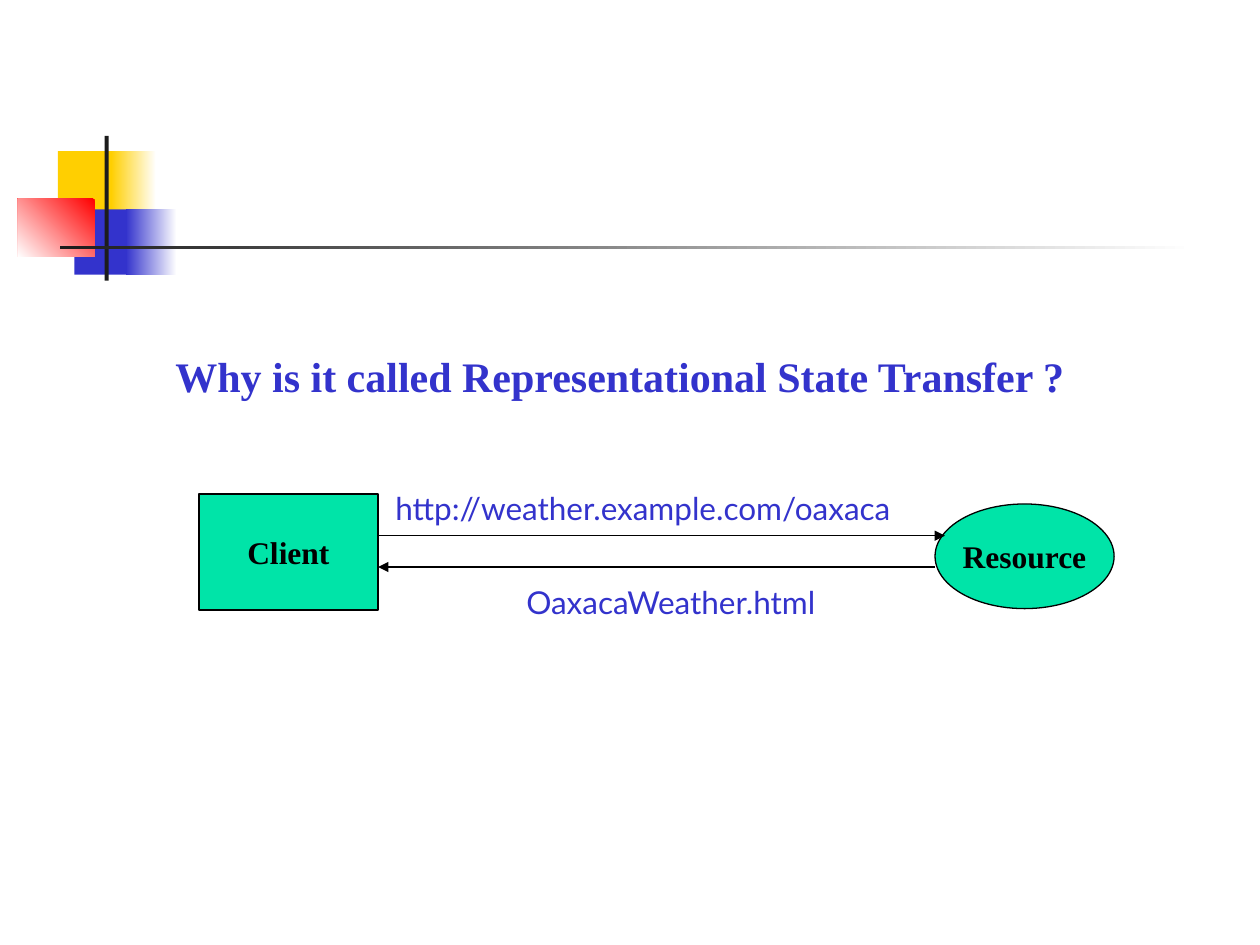
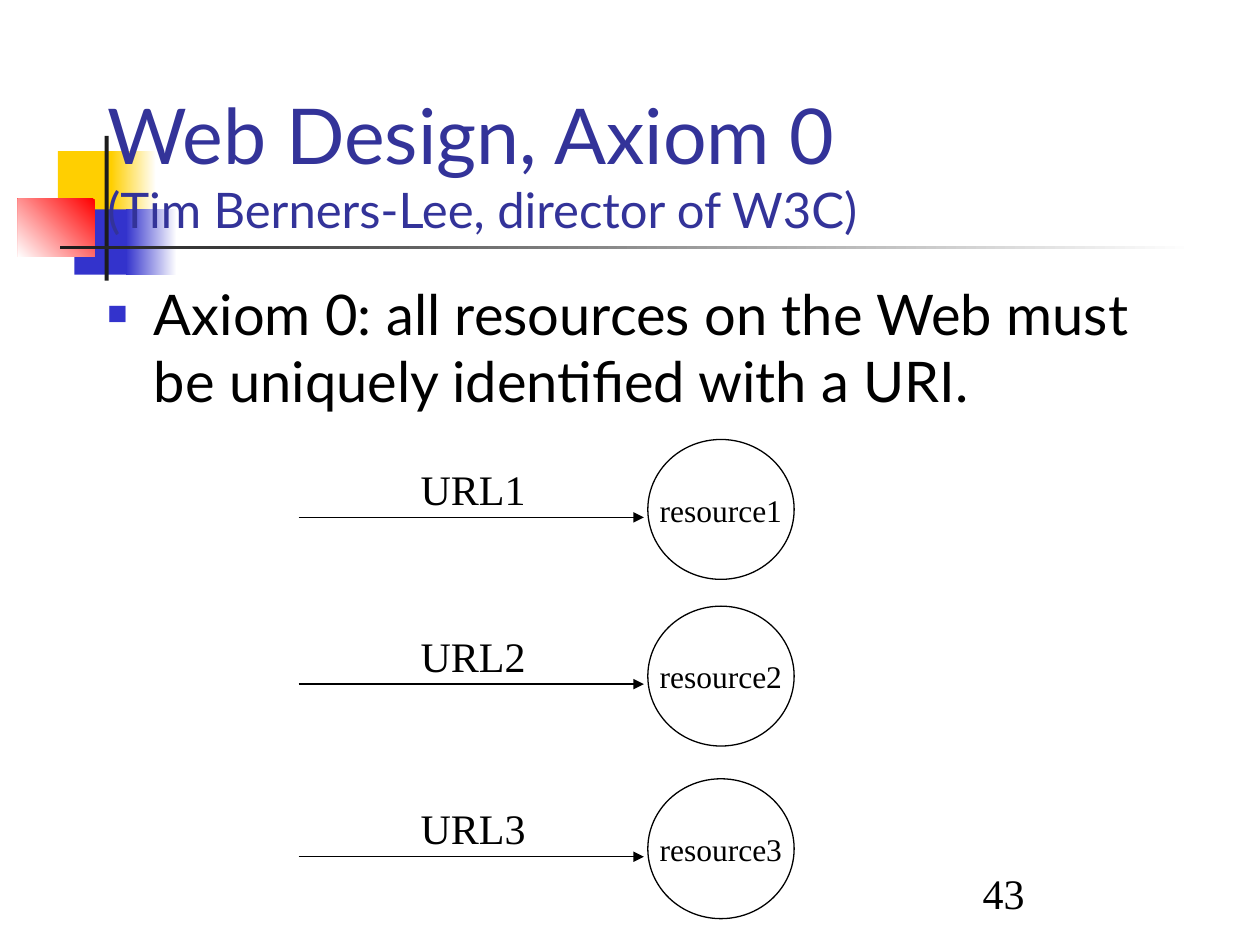
"""Builds two slides on REST resources and their web addresses."""
from lxml.etree import SubElement
from pptx import Presentation
from pptx.dml.color import RGBColor
from pptx.enum.shapes import MSO_CONNECTOR, MSO_SHAPE
from pptx.enum.text import MSO_ANCHOR, MSO_AUTO_SIZE, PP_ALIGN
from pptx.oxml.ns import qn
from pptx.util import Cm, Pt

COLORS = {
    "white": "FFFFFF", "black": "000000", "ink": "1C1C1C", "yellow": "FFCF01",
    "blue": "3333CC", "red": "FF0000", "title": "333399", "green": "00E4A8",
}
SANS, SERIF = "Lato", "Times New Roman"
BANDS = [
    ((1.17, 3.05, 1.22, 1.32), ("yellow",), 0),
    ((2.24, 3.05, 0.91, 1.32), ("white", "yellow"), 180),
    ((1.5, 4.22, 1.17, 1.32), ("blue",), 0),
    ((2.54, 4.22, 1.02, 1.32), ("white", "blue"), 180),
    ((0.36, 4.01, 1.55, 1.17), ("red", "white"), 225),
    ((2.11, 2.74, 0.08, 2.92), ("ink",), 0),
    ((1.22, 4.95, 22.86, 0.08), ("white", "ink"), 180),
]


def rgb(color):
    return RGBColor.from_string(COLORS[color])


def box(values):
    return [Cm(value) for value in values]


class Deck:
    def __init__(self):
        self.prs = Presentation()
        self.prs.slide_width, self.prs.slide_height = Cm(25.4), Cm(19.05)
        self.slide = None

    def new_slide(self):
        self.slide = self.prs.slides.add_slide(self.prs.slide_layouts[1])

    def style(self, paragraph, size, color="black", font=SERIF, bold=False):
        paragraph.font.name = font
        paragraph.font.bold = bold
        paragraph.font.color.rgb = rgb(color)
        if size:
            paragraph.font.size = Pt(size)

    def place(self, placeholder, bounds):
        (placeholder.left, placeholder.top,
         placeholder.width, placeholder.height) = box(bounds)
        return placeholder.text_frame

    def master_bands(self):
        master_tree = self.prs.slide_master.shapes.element
        for number, (bounds, colors, angle) in enumerate(BANDS):
            band = self.slide.shapes.add_shape(MSO_SHAPE.RECTANGLE, *box(bounds))
            band.shadow.inherit = False
            band.line.fill.background()
            if len(colors) == 1:
                band.fill.solid()
                band.fill.fore_color.rgb = rgb(colors[0])
            else:
                band.fill.gradient()
                band.fill.gradient_angle = angle
                for stop, color in zip(band.fill.gradient_stops, colors):
                    stop.color.rgb = rgb(color)
            band.element.nvSpPr.cNvPr.set("id", str(100 + number))
            master_tree.append(band.element)

    def title(self, heading, subheading):
        frame = self.place(self.slide.shapes.title, (1.91, 1.7, 21.59, 3.18))
        frame.vertical_anchor = MSO_ANCHOR.MIDDLE
        paragraph = frame.paragraphs[0]
        paragraph.alignment = PP_ALIGN.LEFT
        for text, size in ((heading, 44), (subheading, 28)):
            if paragraph.runs:
                paragraph.add_line_break()
            run = paragraph.add_run()
            run.text = text
            run.font.size = Pt(size)
        self.style(paragraph, None, "title", SANS)

    def remove_title(self):
        title = self.slide.shapes.title.element
        title.getparent().remove(title)

    def body(self, text, bounds, bullet=False, **style):
        frame = self.place(self.slide.placeholders[1], bounds)
        paragraph = frame.paragraphs[0]
        paragraph.text = text
        paragraph.space_before = Pt(0)
        properties = paragraph._p.get_or_add_pPr()
        hanging = Cm(0.94) if bullet else 0
        properties.set("marL", str(hanging))
        properties.set("indent", str(-hanging))
        if bullet:
            bullet_color = SubElement(properties, qn("a:buClr"))
            SubElement(bullet_color, qn("a:srgbClr"), val=COLORS["blue"])
            SubElement(properties, qn("a:buSzPct"), val="60000")
            SubElement(properties, qn("a:buChar"), char="■")
        else:
            SubElement(properties, qn("a:buNone"))
        self.style(paragraph, **style)

    def node(self, preset, text, bounds, fill, bold=False):
        node = self.slide.shapes.add_shape(preset, *box(bounds))
        node.shadow.inherit = False
        node.fill.solid()
        node.fill.fore_color.rgb = rgb(fill)
        node.line.color.rgb = rgb("black")
        node.line.width = Pt(0.75)
        frame = node.text_frame
        frame.word_wrap = False
        frame.vertical_anchor = MSO_ANCHOR.MIDDLE
        paragraph = frame.paragraphs[0]
        paragraph.text = text
        paragraph.alignment = PP_ALIGN.CENTER
        self.style(paragraph, 18, bold=bold)

    def label(self, text, bounds, **style):
        frame = self.slide.shapes.add_textbox(*box(bounds)).text_frame
        frame.word_wrap = False
        frame.auto_size = MSO_AUTO_SIZE.SHAPE_TO_FIT_TEXT
        frame.text = text
        self.style(frame.paragraphs[0], **style)

    def arrow(self, start_x, end_x, y):
        arrow = self.slide.shapes.add_connector(
            MSO_CONNECTOR.STRAIGHT, *box((start_x, y, end_x, y)))
        arrow.line.color.rgb = rgb("black")
        arrow.line.width = Pt(0.75)
        SubElement(arrow.line._get_or_add_ln(), qn("a:tailEnd"), type="triangle")
        SubElement(arrow.element.spPr, qn("a:effectLst"))

    def page_number(self, number):
        bounds = box((19.56, 17.35, 5.28, 1.27))
        frame = self.slide.shapes.add_textbox(*bounds).text_frame
        frame.word_wrap = True
        frame.vertical_anchor = MSO_ANCHOR.BOTTOM
        frame.text = str(number)
        self.style(frame.paragraphs[0], 24)


def state_transfer(deck):
    deck.new_slide()
    deck.master_bands()
    deck.remove_title()
    deck.body("Why is it called Representational State Transfer ?",
              (3.28, 6.94, 21.59, 10.1), size=24, color="blue", bold=True)
    deck.node(MSO_SHAPE.RECTANGLE, "Client", (4.01, 9.96, 3.61, 2.34), "green", True)
    deck.node(MSO_SHAPE.OVAL, "Resource", (18.85, 10.16, 3.61, 2.11), "green", True)
    deck.arrow(7.62, 19.05, 10.8)
    deck.arrow(18.85, 7.62, 11.43)
    for text, bounds in (
        ("http://weather.example.com/oaxaca", (7.72, 9.73, 11.51, 1.02)),
        ("OaxacaWeather.html", (10.36, 11.63, 6.81, 1.02)),
    ):
        deck.label(text, bounds, size=18, color="blue", font=SANS)


def axiom_zero(deck):
    deck.new_slide()
    deck.title("Web Design, Axiom 0", "(Tim Berners-Lee, director of W3C)")
    deck.body("Axiom 0: all resources on the Web must be uniquely identified with a URI.",
              (1.91, 5.51, 21.59, 11.43), bullet=True, size=32, font=SANS)
    for number, top in enumerate((8.86, 12.22, 15.7), start=1):
        deck.node(MSO_SHAPE.OVAL, f"resource{number}", (13.06, top, 2.95, 2.82), "white")
        deck.arrow(6.02, 12.98, top + 1.57)
        deck.label(f"URL{number}", (8.23, top + 0.36, 2.62, 1.27), size=24)
    deck.page_number(43)


def main():
    deck = Deck()
    state_transfer(deck)
    axiom_zero(deck)
    deck.prs.save("out.pptx")


if __name__ == "__main__":
    main()
